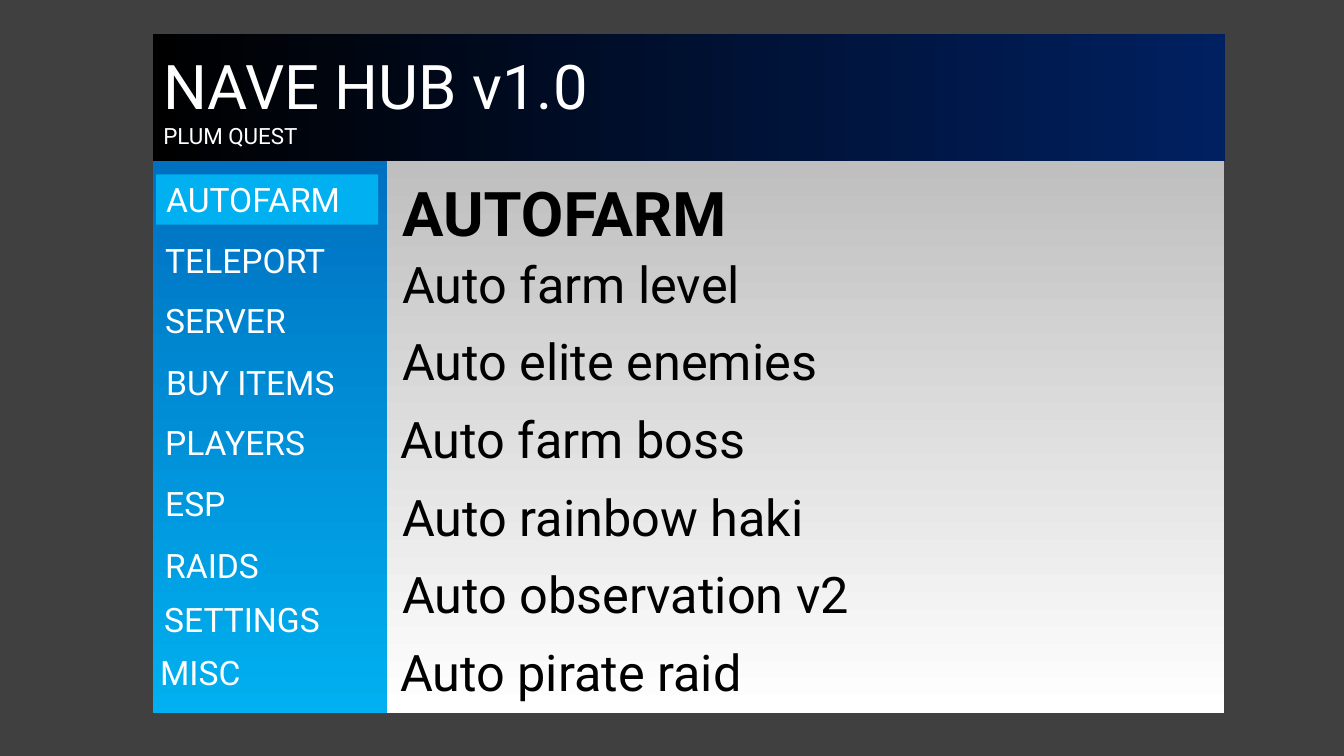
import collections

import pptx
import pptx.dml.color
import pptx.enum.shapes
import pptx.enum.text
import pptx.util

RGBColor = pptx.dml.color.RGBColor
BACKGROUND = RGBColor(0x40, 0x40, 0x40)
BLACK = RGBColor(0x00, 0x00, 0x00)
WHITE = RGBColor(0xFF, 0xFF, 0xFF)
GREY = RGBColor(0xBF, 0xBF, 0xBF)
NAVY = RGBColor(0x00, 0x20, 0x60)
BLUE = RGBColor(0x00, 0x70, 0xC0)
SKY = RGBColor(0x00, 0xB0, 0xF0)

FONT = "Roboto"
COLUMNS, ROWS = 133.3, 75
CELL = pptx.util.Inches(0.1)
RIGHTWARD, DOWNWARD = 0, 270

Box = collections.namedtuple("Box", "left top width height")
HEADER = Box(15.2, 3.4, 106.3, 12.6)
SIDEBAR = Box(15.2, 16, 23.3, 54.7)
CONTENT = Box(38.4, 16, 83, 54.7)

MENU = [
    ("AUTOFARM", 0.3, 1.3),
    ("TELEPORT", 0.2, 7.3),
    ("SERVER", 0.2, 13.3),
    ("BUY ITEMS", 0.3, 19.4),
    ("PLAYERS", 0.2, 25.4),
    ("ESP", 0.2, 31.4),
    ("RAIDS", 0.2, 37.6),
    ("SETTINGS", 0.1, 42.9),
    ("MISC", -0.3, 48.2),
]
FEATURES = [
    ("Auto farm level", 0.5),
    ("Auto elite enemies", 0.5),
    ("Auto farm boss", 0.3),
    ("Auto rainbow haki", 0.5),
    ("Auto observation v2", 0.5),
    ("Auto pirate raid", 0.3),
]
FEATURE_PITCH = 7.7


def inside(box, left, top, width, height):
    """Return a box placed relative to the corner of another box."""
    return Box(box.left + left, box.top + top, width, height)


def emu(box):
    """Convert a box in grid cells to slide lengths."""
    return [round(length * CELL) for length in box]


def add_panel(slide, box, start, end, angle):
    """Add a rectangle with a two-colour gradient."""
    panel = slide.shapes.add_shape(
        pptx.enum.shapes.MSO_SHAPE.RECTANGLE, *emu(box))
    panel.shadow.inherit = False
    panel.line.fill.background()
    panel.fill.gradient()
    panel.fill.gradient_angle = angle
    for stop, color in zip(panel.fill.gradient_stops, (start, end)):
        stop.color.rgb = color


def write(shape, lines, sizes, color, bold=False):
    """Fill a shape with left-aligned lines of the given sizes."""
    frame = shape.text_frame
    frame.text = "\n".join(lines)
    frame.word_wrap = True
    frame.auto_size = pptx.enum.text.MSO_AUTO_SIZE.SHAPE_TO_FIT_TEXT
    frame.vertical_anchor = pptx.enum.text.MSO_ANCHOR.TOP
    for paragraph, size in zip(frame.paragraphs, sizes):
        paragraph.alignment = pptx.enum.text.PP_ALIGN.LEFT
        font = paragraph.runs[0].font
        font.name = FONT
        font.size = pptx.util.Pt(size)
        font.bold = bold
        font.color.rgb = color


def add_label(slide, box, text, size, color, bold=False):
    """Add a one-line text box and return it."""
    label = slide.shapes.add_textbox(*emu(box))
    write(label, [text], [size], color, bold)
    return label


def add_header(slide, box):
    """Add the top band with the title and subtitle."""
    add_panel(slide, box, BLACK, NAVY, RIGHTWARD)
    title = slide.shapes.title
    title.left, title.top, title.width, title.height = emu(
        inside(box, 0, 0.9, 59.4, 10.8))
    write(title, ["NAVE HUB v1.0", "PLUM QUEST"], [44, 16], WHITE)
    slide.shapes.element.append(title.element)


def add_sidebar(slide, box):
    """Add the menu with its first entry highlighted."""
    add_panel(slide, box, BLUE, SKY, DOWNWARD)
    for index, (text, left, top) in enumerate(MENU):
        entry = add_label(
            slide, inside(box, left, top, 22, 5), text, 24, WHITE)
        if index == 0:
            entry.fill.solid()
            entry.fill.fore_color.rgb = SKY


def add_content(slide, box):
    """Add the heading and the evenly spaced feature list."""
    add_panel(slide, box, GREY, WHITE, DOWNWARD)
    add_label(slide, inside(box, 0.5, 0.9, 77.5, 8.4),
              MENU[0][0], 44, BLACK, bold=True)
    for index, (text, left) in enumerate(FEATURES):
        top = 8.6 + index * FEATURE_PITCH
        add_label(slide, inside(box, left, top, 80.5, 7.1), text, 36, BLACK)


def main():
    """Build and save the presentation."""
    presentation = pptx.Presentation()
    presentation.slide_width = round(COLUMNS * CELL)
    presentation.slide_height = ROWS * CELL
    layout = presentation.slide_layouts.get_by_name("Title Only")
    slide = presentation.slides.add_slide(layout)
    slide.background.fill.solid()
    slide.background.fill.fore_color.rgb = BACKGROUND
    add_sidebar(slide, SIDEBAR)
    add_content(slide, CONTENT)
    add_header(slide, HEADER)
    presentation.save("out.pptx")


if __name__ == "__main__":
    main()
